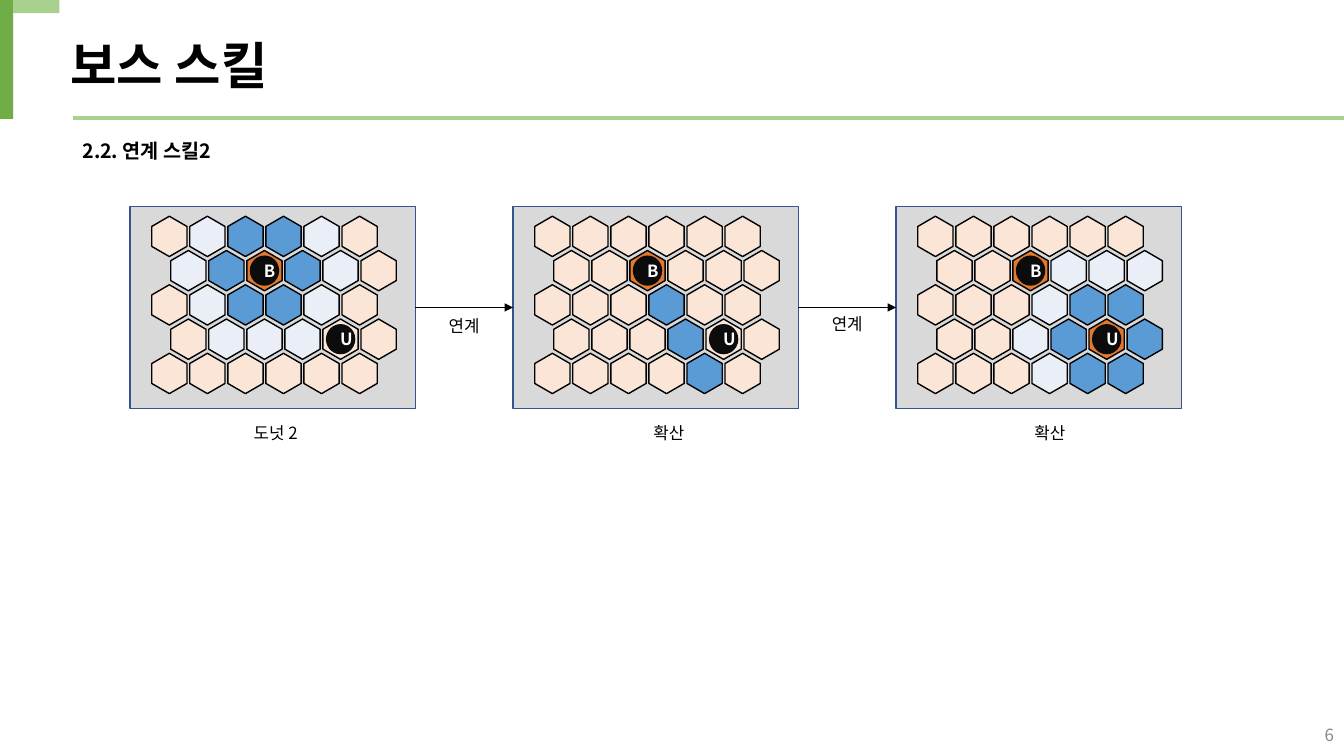
from lxml import etree
from pptx import Presentation
from pptx import util as u
from pptx.dml.color import RGBColor
from pptx.enum import shapes, text
from pptx.oxml import ns

# The slide is a grid of 160 columns by 90 rows of square units.
COLS, ROWS = 160, 90
UNIT = u.Inches(13.33) / COLS

FONT = "Noto Sans CJK KR"
BLACK = RGBColor(0x00, 0x00, 0x00)
WHITE = RGBColor(0xFF, 0xFF, 0xFF)
GREY = RGBColor(0x88, 0x88, 0x88)
GREEN = RGBColor(0x70, 0xAD, 0x47)
LIGHT_GREEN = RGBColor(0xA9, 0xD1, 0x8E)
BOARD_FILL = RGBColor(0xD9, 0xD9, 0xD9)
BOARD_LINE = RGBColor(0x32, 0x54, 0x91)
TOKEN_FILL = RGBColor(0x0C, 0x0C, 0x0C)
TILE_FILLS = {
    ".": RGBColor(0xFB, 0xE5, 0xD6),
    "o": RGBColor(0xEA, 0xEF, 0xF7),
    "#": RGBColor(0x5B, 0x9B, 0xD5),
    "*": RGBColor(0xE3, 0x78, 0x2F),
}

BOARDS = [
    (".o##o.", "o#*#o.", ".o##o.", ".ooo..", "......"),
    ("......", "..*...", "...#..", "...#..", "....#."),
    ("......", "..*ooo", "...o##", "..o#*#", "...o##"),
]
BOARD_LEFT, BOARD_TOP, BOARD_W, BOARD_H = 15.48, 24.6, 33.96, 24
BOARD_STEP = 45.6
TILE_W, TILE_H = 4.8, 4.2
TILE_STEP_X, TILE_STEP_Y = 4.53, 4.08
FIRST_TILE_X, FIRST_TILE_Y = 4.68, 3.54
TOKENS = {"U": (3, 4), "B": (1, 2)}
TOKEN_W, TOKEN_H = 3.5, 3.6


def box(*units):
    return [u.Emu(round(n * UNIT)) for n in units]


def centred(x, y, w, h):
    return x - w / 2, y - h / 2, w, h


def format_text(tf, size, color=BLACK, bold=False, align=text.PP_ALIGN.LEFT):
    for p in tf.paragraphs:
        p.alignment = align
        for r in p.runs:
            r.font.name = FONT
            r.font.size = u.Pt(size)
            r.font.bold = bold
            r.font.color.rgb = color
            ea = etree.SubElement(r.font._element, ns.qn("a:ea"))
            ea.set("typeface", FONT)


def add_text(s, words, area, size, **style):
    tf = s.shapes.add_textbox(*box(*area)).text_frame
    tf.word_wrap = True
    tf.text = words
    format_text(tf, size, **style)
    return tf


def add_solid(parent, kind, area, fill, line=None):
    sp = parent.shapes.add_shape(kind, *box(*area))
    sp.shadow.inherit = False
    sp.fill.solid()
    sp.fill.fore_color.rgb = fill
    if line is None:
        sp.line.fill.background()
    else:
        sp.line.color.rgb = line
        sp.line.width = u.Pt(1)
    return sp


def add_line(s, x1, x2, y, color, width, arrow=False):
    line = s.shapes.add_connector(shapes.MSO_CONNECTOR.STRAIGHT, *box(x1, y, x2, y))
    line.line.color.rgb = color
    line.line.width = u.Pt(width)
    if arrow:
        etree.SubElement(line.line._get_or_add_ln(), ns.qn("a:tailEnd")).set("type", "triangle")
    etree.SubElement(line._element.spPr, ns.qn("a:effectLst"))


def add_board(s, left, rows):
    """Draw a panel of staggered hexagon tiles with its two tokens."""
    board = s.shapes.add_group_shape()
    add_solid(board, shapes.MSO_SHAPE.RECTANGLE,
              (left, BOARD_TOP, BOARD_W, BOARD_H), BOARD_FILL, BOARD_LINE)

    def centre(row, col):
        return (left + FIRST_TILE_X + (col + row % 2 / 2) * TILE_STEP_X,
                BOARD_TOP + FIRST_TILE_Y + row * TILE_STEP_Y)

    for row, tiles in enumerate(rows):
        for col, tile in enumerate(tiles):
            area = centred(*centre(row, col), TILE_W, TILE_H)
            sp = add_solid(board, shapes.MSO_SHAPE.HEXAGON, area, TILE_FILLS[tile], BLACK)
            sp.adjustments[0] = 0.29
            sp.rotation = 270
    for letter, cell in TOKENS.items():
        area = centred(*centre(*cell), TOKEN_W, TOKEN_H)
        sp = add_solid(board, shapes.MSO_SHAPE.OVAL, area, TOKEN_FILL)
        sp.text_frame.text = letter
        sp.text_frame.vertical_anchor = text.MSO_ANCHOR.MIDDLE
        format_text(sp.text_frame, 12, WHITE, True, text.PP_ALIGN.CENTER)


def add_title(s, words):
    title = s.shapes.title
    title.left, title.top, title.width, title.height = box(7.2, 3.48, 124.44, 8.52)
    tf = title.text_frame
    tf.text = words
    tf.auto_size = text.MSO_AUTO_SIZE.NONE
    tf.vertical_anchor = text.MSO_ANCHOR.TOP
    format_text(tf, 36, bold=True)


def main():
    prs = Presentation()
    prs.slide_width, prs.slide_height = box(COLS, ROWS)
    s = prs.slides.add_slide(prs.slide_layouts[5])

    add_line(s, 8.64, COLS, 14.04, LIGHT_GREEN, 2.25)
    add_solid(s, shapes.MSO_SHAPE.RECTANGLE, (0, 0, 1.56, 14.16), GREEN)
    add_solid(s, shapes.MSO_SHAPE.RECTANGLE, (1.56, 0, 5.52, 1.56), LIGHT_GREEN)
    add_title(s, "보스 스킬")
    subtitle = add_text(s, "2.2. 연계 스킬2", (8.64, 15.24, 36.48, 8.04), 14, bold=True)
    subtitle.paragraphs[0].line_spacing = 1.25

    lefts = [BOARD_LEFT + i * BOARD_STEP for i in range(len(BOARDS))]
    for left, rows in zip(lefts, BOARDS):
        add_board(s, left, rows)
    for words, x in (("도넛 2", 26.52), ("확산", 73.32), ("확산", 118.68)):
        add_text(s, words, (x, 49.68, 12.6, 3.6), 12, align=text.PP_ALIGN.CENTER)
    for left, following, top in zip(lefts, lefts[1:], (36.96, 36.72)):
        right = left + BOARD_W
        add_line(s, right, following, 36.6, BLACK, 0.75, arrow=True)
        add_text(s, "연계", (right, top, following - right, 3.6), 12,
                 align=text.PP_ALIGN.CENTER)

    number = add_text(s, "6", (124, 85.08, 36, 4.8), 12, color=GREY,
                      align=text.PP_ALIGN.RIGHT)
    number.vertical_anchor = text.MSO_ANCHOR.MIDDLE
    prs.save("out.pptx")


if __name__ == "__main__":
    main()
